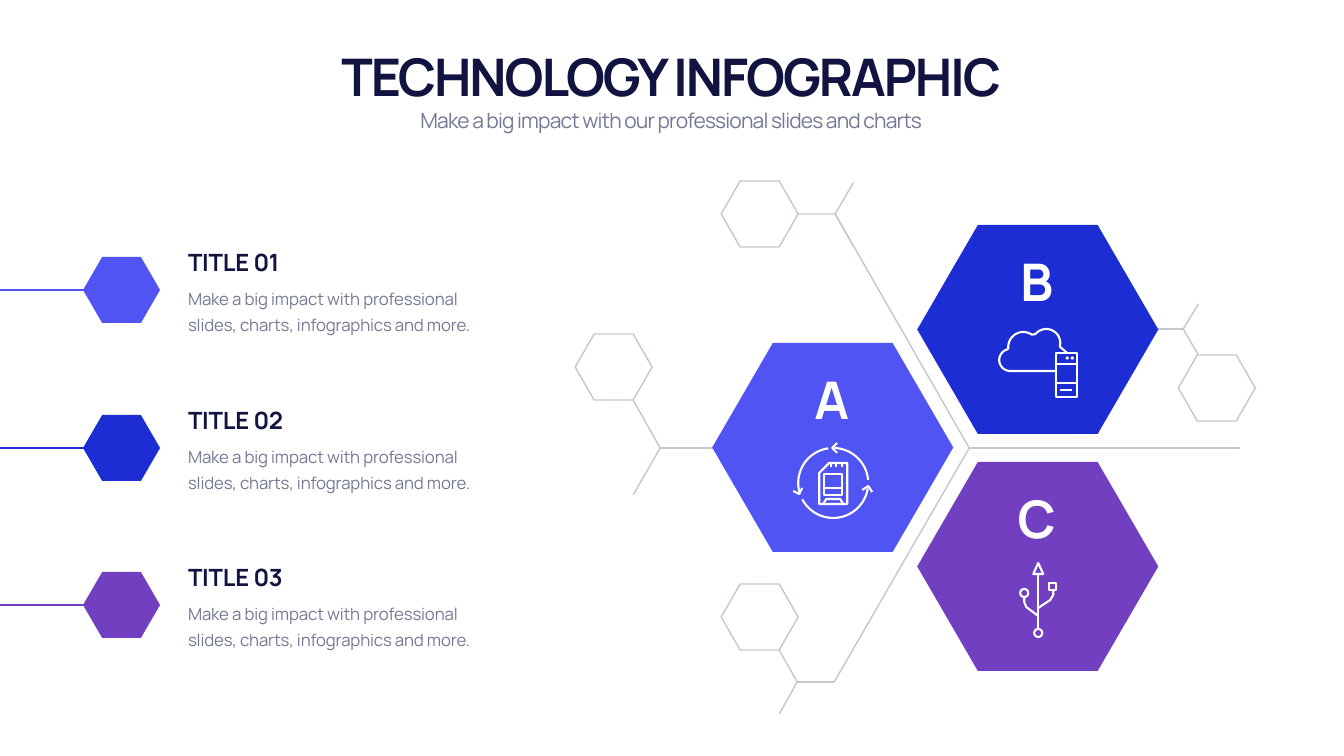
from math import cos, radians, sin

from lxml import etree
from pptx import Presentation
from pptx.dml.color import RGBColor
from pptx.enum.shapes import MSO_CONNECTOR, MSO_SHAPE
from pptx.enum.text import MSO_ANCHOR, MSO_AUTO_SIZE, PP_ALIGN
from pptx.oxml.ns import qn
from pptx.util import Emu, Inches, Pt

STRAIGHT, HEXAGON = MSO_CONNECTOR.STRAIGHT, MSO_SHAPE.HEXAGON
TOP, MIDDLE, BOTTOM = MSO_ANCHOR.TOP, MSO_ANCHOR.MIDDLE, MSO_ANCHOR.BOTTOM
GROW = MSO_AUTO_SIZE.SHAPE_TO_FIT_TEXT
LEFT, CENTER = PP_ALIGN.LEFT, PP_ALIGN.CENTER

FONT = "Manrope"
NAVY, SLATE, GRAY, WHITE = "111340", "747A94", "C4C8CE", "FFFFFF"
INDIGO, BLUE, PURPLE = "4F54F2", "1D2DD4", "713FC0"
LARGE, SMALL = (241, 209), (77, 66)
HUB = (969, 448)
DESCRIPTION = "Make a big impact with professional slides, charts, infographics and more."


def px(n):
    """Turn pixels into EMU."""
    return Emu(round(n * 914400 / 50.4))


def rgb(color):
    """Turn a hex string into a colour."""
    return RGBColor.from_string(color)


def add_run(p, text, size, color, bold, spacing):
    """Add one formatted run with letter spacing in points."""
    r = p.add_run()
    r.text = text
    r.font.name, r.font.size, r.font.bold = FONT, Pt(size), bold
    r.font.color.rgb = rgb(color)
    r._r.get_or_add_rPr().set("spc", str(round(spacing * 100)))


def set_text(sp, box, text, size, color, bold=False, spacing=0, leading=None,
             align=LEFT, anchor=TOP):
    """Place a text shape and fill it with one paragraph."""
    sp.left, sp.top, sp.width, sp.height = map(px, box)
    tf = sp.text_frame
    tf.word_wrap, tf.auto_size, tf.vertical_anchor = True, GROW, anchor
    tf.margin_left = tf.margin_right = px(5)
    tf.margin_top = tf.margin_bottom = px(2)
    p = tf.paragraphs[0]
    p.alignment = align
    if leading:
        p.line_spacing = Pt(leading)
    add_run(p, text, size, color, bold, spacing)


def add_text(s, box, *args, **kwargs):
    """Add a text box."""
    set_text(s.shapes.add_textbox(0, 0, 0, 0), box, *args, **kwargs)


def add_hexagon(s, x, y, size, fill):
    """Add a filled hexagon."""
    sp = s.shapes.add_shape(HEXAGON, px(x), px(y), *map(px, size))
    sp.adjustments[0] = 0.29
    sp.shadow.inherit = False
    sp.fill.solid()
    sp.fill.fore_color.rgb = rgb(fill)
    sp.line.fill.background()


def add_line(s, start, end, color, width):
    """Add a straight line."""
    line = s.shapes.add_connector(STRAIGHT, *map(px, start + end))
    line.line.color.rgb = rgb(color)
    line.line.width = Pt(width)
    etree.SubElement(line._element.spPr, qn("a:effectLst"))


def add_strokes(s, contours, color, width):
    """Draw several strokes as one unfilled freeform."""
    builder = None
    for contour in contours:
        first, *rest = [(px(x), px(y)) for x, y in contour]
        if builder is None:
            builder = s.shapes.build_freeform(*first)
        else:
            builder.move_to(*first)
        builder.add_line_segments(rest, close=first == rest[-1])
    sp = builder.convert_to_shape()
    sp.shadow.inherit = False
    sp.fill.background()
    sp.line.color.rgb = rgb(color)
    sp.line.width = Pt(width)


def arc(cx, cy, radius, start=0, end=360, steps=24):
    """Return points along an arc, with angles clockwise from the right."""
    angles = [radians(start + (end - start) * i / steps) for i in range(steps)]
    angles.append(radians(end % 360))
    return [(cx + radius * cos(a), cy + radius * sin(a)) for a in angles]


def rect(x1, y1, x2, y2):
    """Return the closed outline of a rectangle."""
    return [(x1, y1), (x2, y1), (x2, y2), (x1, y2), (x1, y1)]


def cell(x, y):
    """Return the closed outline of a small hexagon."""
    w, h = SMALL
    return [(x, y + h / 2), (x + 19, y), (x + w - 19, y), (x + w, y + h / 2),
            (x + w - 19, y + h), (x + 19, y + h), (x, y + h / 2)]


def card_icon():
    """Return the strokes of a memory card inside circling arrows."""
    arcs = [arc(833, 483, 35, *span) for span in ((-88, -5), (9, 152), (162, 262))]
    heads = [[(837, 443), (832, 448), (837, 453)],
             [(862, 490), (868, 486), (872, 492)],
             [(793, 491), (799, 494), (802, 488)]]
    card = [(829, 463), (847, 463), (847, 504), (819, 504), (819, 473), (829, 463)]
    foot = [(823, 504), (826, 499), (840, 499), (843, 504)]
    pins = [[(x, 463), (x, 467)] for x in (831, 836, 842)]
    return [*arcs, *heads, card, foot, *pins,
            rect(824, 474, 842, 495), [(824, 488), (842, 488)]]


def cloud_icon():
    """Return the strokes of a cloud and a server."""
    cloud = [(1056, 371), *arc(1010, 360, 11, 90, 255), *arc(1023, 347, 15, 175, 305),
             *arc(1046, 343, 14, 220, 375), (1067, 353)]
    shelves = [[(1056, y), (1077, y)] for y in (364, 383)]
    lights = [arc(x, 358, 0.5) for x in (1067, 1072)]
    return [cloud, rect(1056, 353, 1077, 397), *shelves, *lights,
            [(1060, 390), (1072, 390)]]


def usb_icon():
    """Return the strokes of a forked connector symbol."""
    return [[(1038, 563), (1043, 574), (1033, 574), (1038, 563)],
            [(1038, 574), (1038, 629)], arc(1038, 633, 4), arc(1024, 593, 4),
            [(1024, 597), (1024, 602), (1026, 607), (1038, 616)],
            rect(1049, 583, 1056, 590),
            [(1053, 590), (1053, 595), (1050, 600), (1038, 608)]]


def add_network(s):
    """Draw the gray hexagon branches and the lines from the hub."""
    branches = (
        [cell(575, 334), [(633, 400), (660, 448), (633, 495)],
         [(660, 448), (714, 448)]],
        [cell(721, 181), [(798, 214), (835, 214), (853, 183)],
         [(835, 214), (853, 246)]],
        [cell(721, 584), [(779, 650), (797, 682), (779, 714)],
         [(797, 682), (834, 682)]],
        [cell(1178, 355), [(1198, 355), (1183, 329), (1198, 304)],
         [(1153, 329), (1183, 329)]],
    )
    for branch in branches:
        add_strokes(s, branch, GRAY, 2)
    for end in ((835, 214), (1240, 448), (834, 682)):
        add_line(s, HUB, end, GRAY, 2)


def add_item(s, number, y, color):
    """Add one list entry centred on its marker line."""
    add_hexagon(s, 83, y - 33, SMALL, color)
    add_line(s, (0, y), (121, y), color, 3)
    add_text(s, (183, y - 46, 323, 34), f"TITLE {number:02}", 34, NAVY, True, -0.3,
             anchor=BOTTOM)
    add_text(s, (183, y - 8, 323, 54), DESCRIPTION, 24, SLATE, False, -0.2, 36)


def add_letter_hexagon(s, letter, x, y, color, icon):
    """Add a large hexagon with its letter and icon."""
    add_hexagon(s, x, y, LARGE, color)
    add_text(s, (x + 69, y + 19, 101, 70), letter, 74, WHITE, True, -2.9, 94,
             CENTER, MIDDLE)
    add_strokes(s, icon, WHITE, 3)


def main():
    """Build the slide and save it."""
    prs = Presentation()
    prs.slide_width, prs.slide_height = Inches(26.66), Inches(15)
    s = prs.slides.add_slide(prs.slide_layouts[5])
    set_text(s.shapes.title, (83, 39, 1176, 70), "TECHNOLOGY INFOGRAPHIC", 74, NAVY,
             True, -2.9, 94, CENTER, BOTTOM)
    add_text(s, (83, 101, 1176, 33),
             "Make a big impact with our professional slides and charts", 30, SLATE,
             False, -1.2, 42, CENTER)
    add_network(s)
    for number, (y, color) in enumerate(((290, INDIGO), (448, BLUE), (605, PURPLE)), 1):
        add_item(s, number, y, color)
    add_letter_hexagon(s, "A", 712, 343, INDIGO, card_icon())
    add_letter_hexagon(s, "B", 917, 225, BLUE, cloud_icon())
    add_letter_hexagon(s, "C", 917, 462, PURPLE, usb_icon())
    prs.save("out.pptx")


main()
